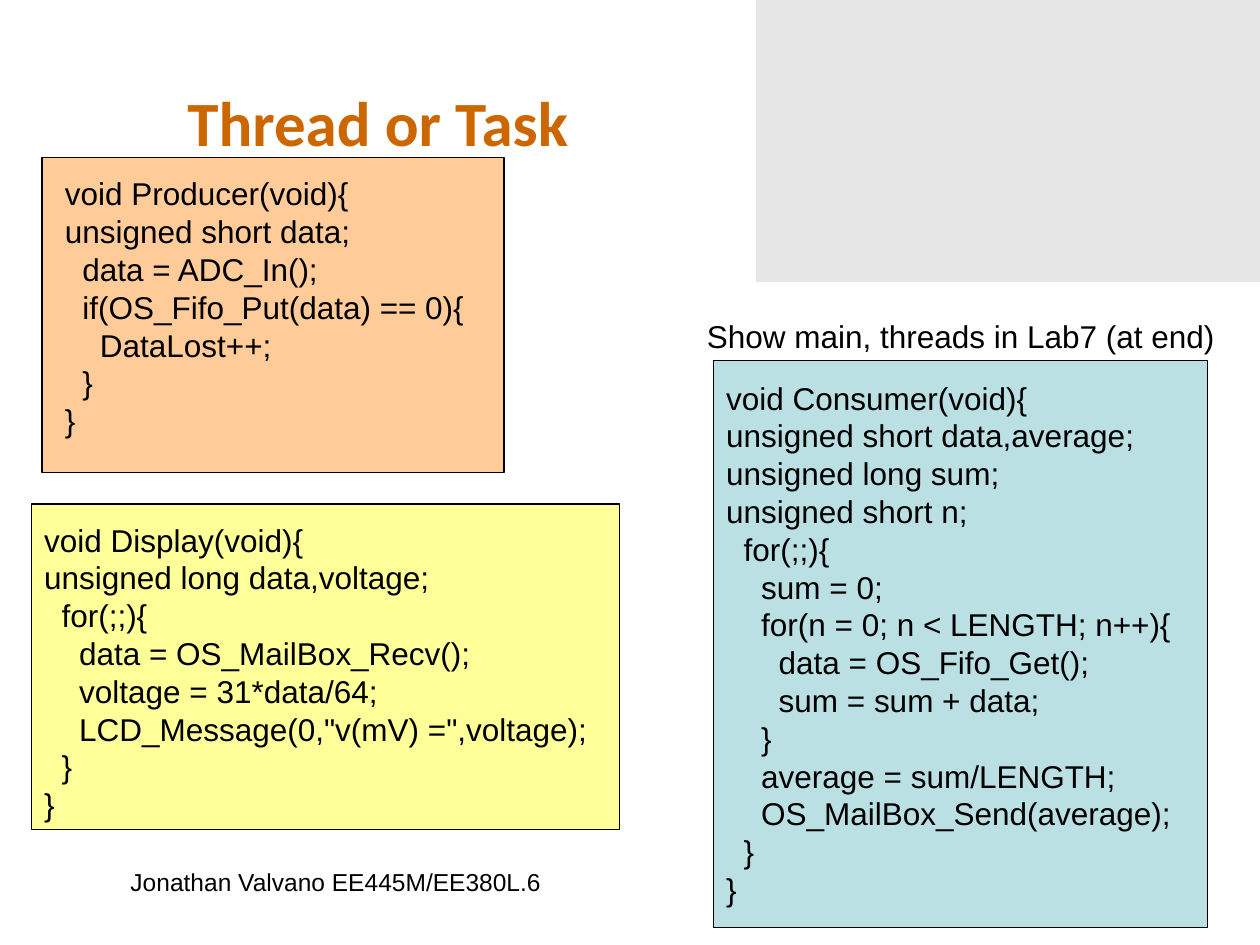
from pptx import Presentation
from pptx.dml.color import RGBColor
from pptx.enum.shapes import MSO_SHAPE as Shape
from pptx.enum.text import MSO_ANCHOR as Anchor, PP_ALIGN as Align
from pptx.util import Cm, Pt

BLACK = RGBColor(0x00, 0x00, 0x00)
GREY = RGBColor(0xE6, 0xE6, 0xE6)
ORANGE = RGBColor(0xCC, 0x66, 0x00)
PEACH = RGBColor(0xFF, 0xCC, 0x99)
YELLOW = RGBColor(0xFF, 0xFF, 0x99)
TEAL = RGBColor(0xBB, 0xE0, 0xE3)

BODY = {"name": "Arial", "size": Pt(18)}
FOOTER = {"name": "Arial", "size": Pt(14)}
TITLE = {"name": "Calibri", "size": Pt(36), "bold": True}
INDENT = Pt(5)

PRODUCER = """void Producer(void){
unsigned short data;
  data = ADC_In();
  if(OS_Fifo_Put(data) == 0){
    DataLost++;
  }
}"""

DISPLAY = """void Display(void){
unsigned long data,voltage;
  for(;;){
    data = OS_MailBox_Recv();
    voltage = 31*data/64;
    LCD_Message(0,"v(mV) =",voltage);
  }
}"""

CONSUMER = """void Consumer(void){
unsigned short data,average;
unsigned long sum;
unsigned short n;
  for(;;){
    sum = 0;
    for(n = 0; n < LENGTH; n++){
      data = OS_Fifo_Get();
      sum = sum + data;
    }
    average = sum/LENGTH;
    OS_MailBox_Send(average);
  }
}"""

LISTINGS = [
    (DISPLAY, YELLOW, (0.64, 10.16, 11.85, 6.56), (0.64, 10.37, 12.7, 6.35)),
    (PRODUCER, PEACH, (0.85, 3.18, 9.31, 6.35), (1.06, 3.39, 9.53, 5.59)),
    (CONSUMER, TEAL, (14.39, 7.27, 9.95, 11.43), (14.39, 7.51, 11.01, 10.92)),
]


def add_panel(slide, place, fill, outlined=True):
    """Draw a flat rectangle, with a thin black outline if wanted."""
    panel = slide.shapes.add_shape(Shape.RECTANGLE, *map(Cm, place))
    panel.shadow.inherit = False
    panel.fill.solid()
    panel.fill.fore_color.rgb = fill
    if outlined:
        panel.line.color.rgb = BLACK
        panel.line.width = Pt(0.75)
    else:
        panel.line.fill.background()


def add_text(slide, place, text, font, color=BLACK, align=Align.LEFT, anchor=Anchor.TOP):
    """Write lines of text, turning leading spaces into paragraph indents."""
    frame = slide.shapes.add_textbox(*map(Cm, place)).text_frame
    frame.word_wrap = True
    frame.vertical_anchor = anchor
    for number, line in enumerate(text.splitlines()):
        paragraph = frame.paragraphs[0] if number == 0 else frame.add_paragraph()
        paragraph.alignment = align
        statement = line.lstrip()
        depth = len(line) - len(statement)
        if depth:
            paragraph._p.get_or_add_pPr().set("marL", str(depth * INDENT))
        run = paragraph.add_run()
        run.text = statement
        for name, value in font.items():
            setattr(run.font, name, value)
        run.font.color.rgb = color


def add_listing(slide, code, fill, panel_place, code_place):
    """Place a code listing on its coloured panel."""
    add_panel(slide, panel_place, fill)
    add_text(slide, code_place, code, BODY)


def main():
    """Build the slide and save it."""
    deck = Presentation()
    deck.slide_width, deck.slide_height = Cm(25.4), Cm(19.05)
    slide = deck.slides.add_slide(deck.slide_layouts[6])
    add_panel(slide, (15.24, -0.02, 10.16, 5.71), GREY, outlined=False)
    add_text(slide, (1.27, 17.35, 11, 1.32), "Jonathan Valvano EE445M/EE380L.6",
             FOOTER, align=Align.CENTER)
    add_text(slide, (0, 0.85, 15.24, 3.18), "Thread or Task", TITLE, ORANGE,
             Align.CENTER, Anchor.MIDDLE)
    for listing in LISTINGS:
        add_listing(slide, *listing)
    add_text(slide, (14, 6.27, 10.8, 1.02), "Show main, threads in Lab7 (at end)", BODY)
    deck.save("out.pptx")


if __name__ == "__main__":
    main()
